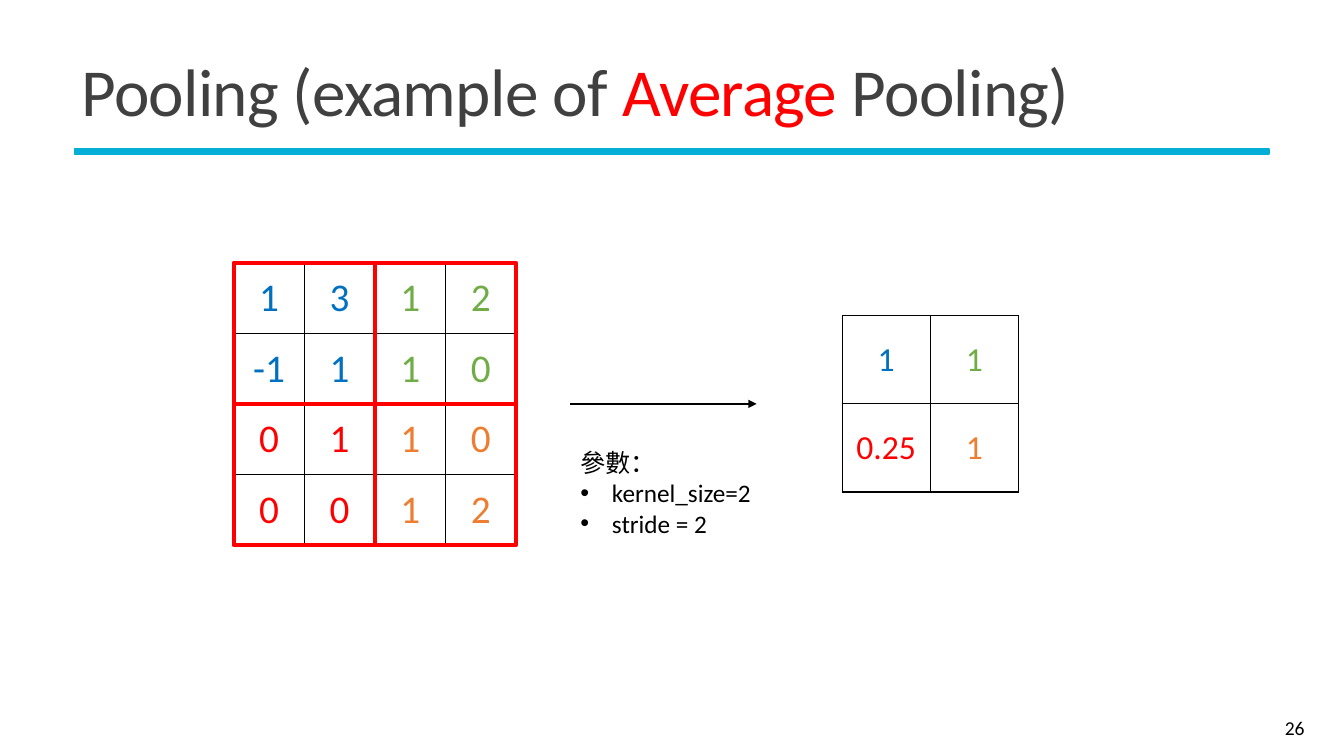
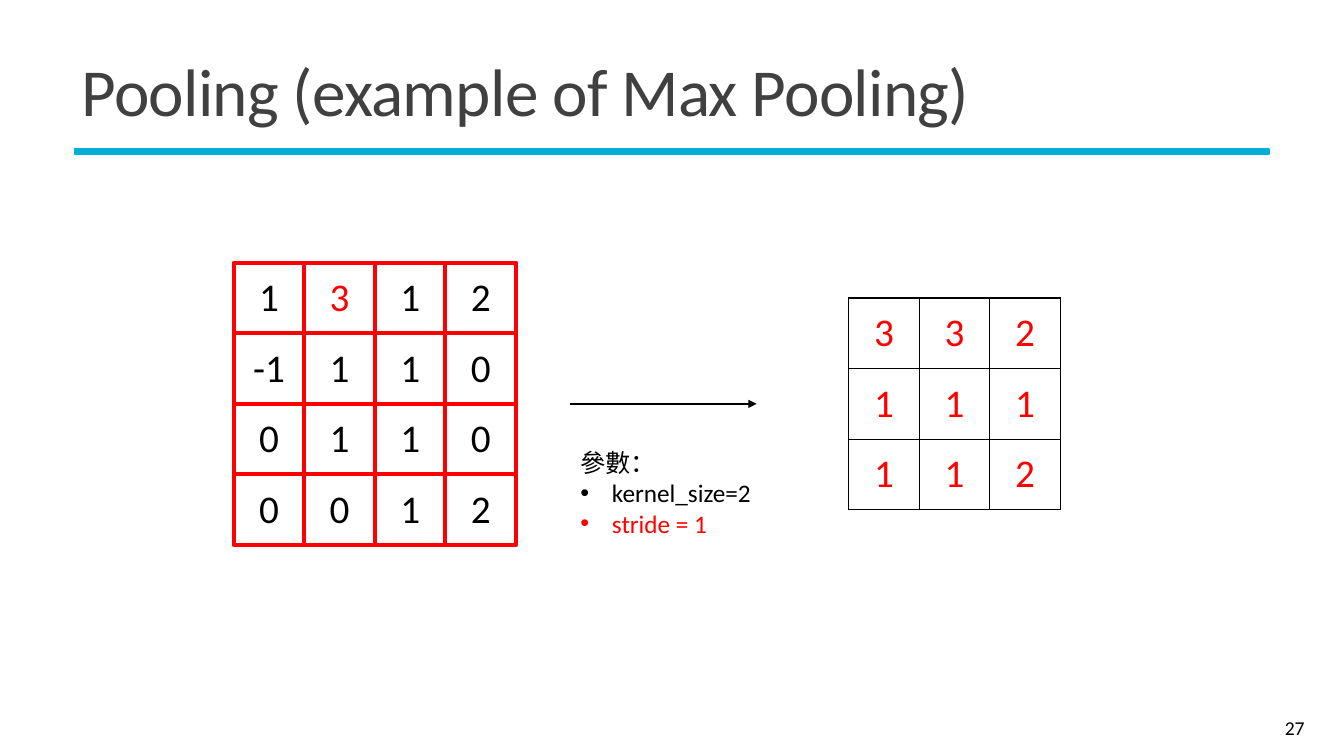
"""Build two slides that compare average pooling and max pooling on a 4 x 4 grid."""
from lxml.etree import SubElement
from pptx import Presentation
from pptx.dml.color import RGBColor
from pptx.enum.shapes import MSO_CONNECTOR, MSO_SHAPE
from pptx.enum.text import MSO_ANCHOR, MSO_AUTO_SIZE, PP_ALIGN
from pptx.oxml import parse_xml
from pptx.oxml.ns import nsdecls, qn
from pptx.util import Pt

FONT = "Calibri"
CHINESE_FONT = "Noto Sans CJK TC"
BLACK, GRAY, CYAN = "000000", "404040", "05AED6"
RED, BLUE, GREEN, ORANGE = "FF0000", "0070C0", "70AD47", "ED7D31"

FIRST_NUMBER = 26
KERNEL = 2
CELL = 50.4
GRID_LEFT = 167
MIDDLE = 288.5
ARROW_LEFT, ARROW_RIGHT = 407.5, 540.5

INPUT = [["1", "3", "1", "2"], ["-1", "1", "1", "0"], ["0", "1", "1", "0"], ["0", "0", "1", "2"]]
QUADRANTS = [[BLUE, GREEN], [RED, ORANGE]]

SLIDES = [
    {
        "title": [("Pooling (example of ", GRAY), ("Average", RED), (" Pooling)", GRAY)],
        "input_colors": [[QUADRANTS[row // 2][column // 2] for column in range(4)] for row in range(4)],
        "output": [["1", "1"], ["0.25", "1"]],
        "output_colors": QUADRANTS,
        "output_left": 601.5,
        "output_cell": 63,
        "output_size": 24,
        "stride": 2,
        "stride_color": BLACK,
    },
    {
        "title": [("Pooling (example of Max Pooling)", GRAY)],
        "input_colors": [[BLACK, RED, BLACK, BLACK]] + [[BLACK] * 4] * 3,
        "output": [["3", "3", "2"], ["1", "1", "1"], ["1", "1", "2"]],
        "output_colors": [[RED] * 3] * 3,
        "output_left": 606.2,
        "output_cell": CELL,
        "output_size": 28,
        "stride": 1,
        "stride_color": RED,
    },
]


def rgb(color):
    return RGBColor.from_string(color)


def add_run(paragraph, text, size, color, font=FONT):
    run = paragraph.add_run()
    run.text = text
    run.font.size = Pt(size)
    run.font.name = font
    run.font.color.rgb = rgb(color)
    SubElement(run.font._element, qn("a:ea"), typeface=font)
    return run


def add_rectangle(slide, left, top, width, height, line_color, line_width, fill=None):
    rectangle = slide.shapes.add_shape(MSO_SHAPE.RECTANGLE, Pt(left), Pt(top), Pt(width), Pt(height))
    rectangle.shadow.inherit = False
    rectangle.line.color.rgb = rgb(line_color)
    rectangle.line.width = Pt(line_width)
    if fill:
        rectangle.fill.solid()
        rectangle.fill.fore_color.rgb = rgb(fill)
    else:
        rectangle.fill.background()


def add_text_box(slide, left, top, width, height):
    box = slide.shapes.add_textbox(Pt(left), Pt(top), Pt(width), Pt(height))
    box.text_frame.word_wrap = True
    return box.text_frame


def add_title(slide, runs):
    title = slide.shapes.title
    title.left, title.top, title.width, title.height = Pt(51), Pt(28), Pt(860), Pt(81.5)
    frame = title.text_frame
    frame.auto_size = MSO_AUTO_SIZE.NONE
    frame.vertical_anchor = MSO_ANCHOR.MIDDLE
    paragraph = frame.paragraphs[0]
    paragraph.alignment = PP_ALIGN.LEFT
    paragraph.line_spacing = 0.85
    for text, color in runs:
        run = add_run(paragraph, text, 48, color)
        run.font._element.set("spc", "-50")
    add_rectangle(slide, 53.3, 106.6, 853.2, 3.6, CYAN, 1.25, CYAN)


def add_slide_number(slide, number):
    frame = add_text_box(slide, 836, 505.5, 103, 28.8)
    frame.vertical_anchor = MSO_ANCHOR.MIDDLE
    paragraph = frame.paragraphs[0]
    paragraph.alignment = PP_ALIGN.RIGHT
    paragraph._p.append(parse_xml(
        f'<a:fld {nsdecls("a")} id="{{B6F15528-21DE-4FAA-801E-634DDDAF4B2B}}" type="slidenum">'
        f'<a:rPr lang="en-US" sz="1400"><a:solidFill><a:srgbClr val="{BLACK}"/></a:solidFill>'
        f'<a:latin typeface="{FONT}"/></a:rPr><a:t>{number}</a:t></a:fld>'))


def add_borders(cell):
    properties = cell._tc.get_or_add_tcPr()
    for side in ("lnL", "lnR", "lnT", "lnB"):
        properties.append(parse_xml(
            f'<a:{side} {nsdecls("a")} w="12700"><a:solidFill>'
            f'<a:srgbClr val="{BLACK}"/></a:solidFill></a:{side}>'))


def add_matrix(slide, values, colors, left, cell_size, text_size):
    count = len(values)
    side = count * cell_size
    table = slide.shapes.add_table(
        count, count, Pt(left), Pt(MIDDLE - side / 2), Pt(side), Pt(side)).table
    table.first_row = table.horz_banding = False
    for line in (*table.rows, ):
        line.height = Pt(cell_size)
    for line in table.columns:
        line.width = Pt(cell_size)
    for row in range(count):
        for column in range(count):
            cell = table.cell(row, column)
            add_borders(cell)
            cell.fill.background()
            cell.vertical_anchor = MSO_ANCHOR.MIDDLE
            paragraph = cell.text_frame.paragraphs[0]
            paragraph.alignment = PP_ALIGN.CENTER
            add_run(paragraph, values[row][column], text_size, colors[row][column])


def add_windows(slide, stride):
    top = MIDDLE - len(INPUT) * CELL / 2
    starts = range(0, len(INPUT) - KERNEL + 1, stride)
    for row in starts:
        for column in starts:
            add_rectangle(slide, GRID_LEFT + column * CELL, top + row * CELL,
                          KERNEL * CELL, KERNEL * CELL, RED, 3)


def add_arrow(slide):
    arrow = slide.shapes.add_connector(
        MSO_CONNECTOR.STRAIGHT, Pt(ARROW_LEFT), Pt(MIDDLE), Pt(ARROW_RIGHT), Pt(MIDDLE))
    arrow.line.color.rgb = rgb(BLACK)
    arrow.line.width = Pt(1.5)
    SubElement(arrow.line._get_or_add_ln(), qn("a:tailEnd"), type="triangle")
    SubElement(arrow._element.spPr, qn("a:effectLst"))


def add_parameters(slide, stride, stride_color):
    frame = add_text_box(slide, ARROW_LEFT, 316, 217, 72.7)
    frame.auto_size = MSO_AUTO_SIZE.SHAPE_TO_FIT_TEXT
    heading = frame.paragraphs[0]
    add_run(heading, "參數", 18, BLACK, CHINESE_FONT)
    add_run(heading, "：", 18, BLACK)
    for text, color in ((f"kernel_size={KERNEL}", BLACK), (f"stride = {stride}", stride_color)):
        paragraph = frame.add_paragraph()
        properties = paragraph._p.get_or_add_pPr()
        properties.set("marL", str(Pt(22.5)))
        properties.set("indent", str(-Pt(22.5)))
        SubElement(properties, qn("a:buFont"), typeface="Arial")
        SubElement(properties, qn("a:buChar"), char="•")
        add_run(paragraph, text, 18, color)


def add_pooling_slide(presentation, number, content):
    slide = presentation.slides.add_slide(presentation.slide_layouts[5])
    add_title(slide, content["title"])
    add_slide_number(slide, number)
    add_matrix(slide, INPUT, content["input_colors"], GRID_LEFT, CELL, 28)
    add_arrow(slide)
    add_matrix(slide, content["output"], content["output_colors"], content["output_left"],
               content["output_cell"], content["output_size"])
    add_parameters(slide, content["stride"], content["stride_color"])
    add_windows(slide, content["stride"])


def main():
    presentation = Presentation()
    presentation.slide_width, presentation.slide_height = Pt(960), Pt(540)
    presentation.element.set("firstSlideNum", str(FIRST_NUMBER))
    for number, content in enumerate(SLIDES, FIRST_NUMBER):
        add_pooling_slide(presentation, number, content)
    presentation.save("out.pptx")


if __name__ == "__main__":
    main()
